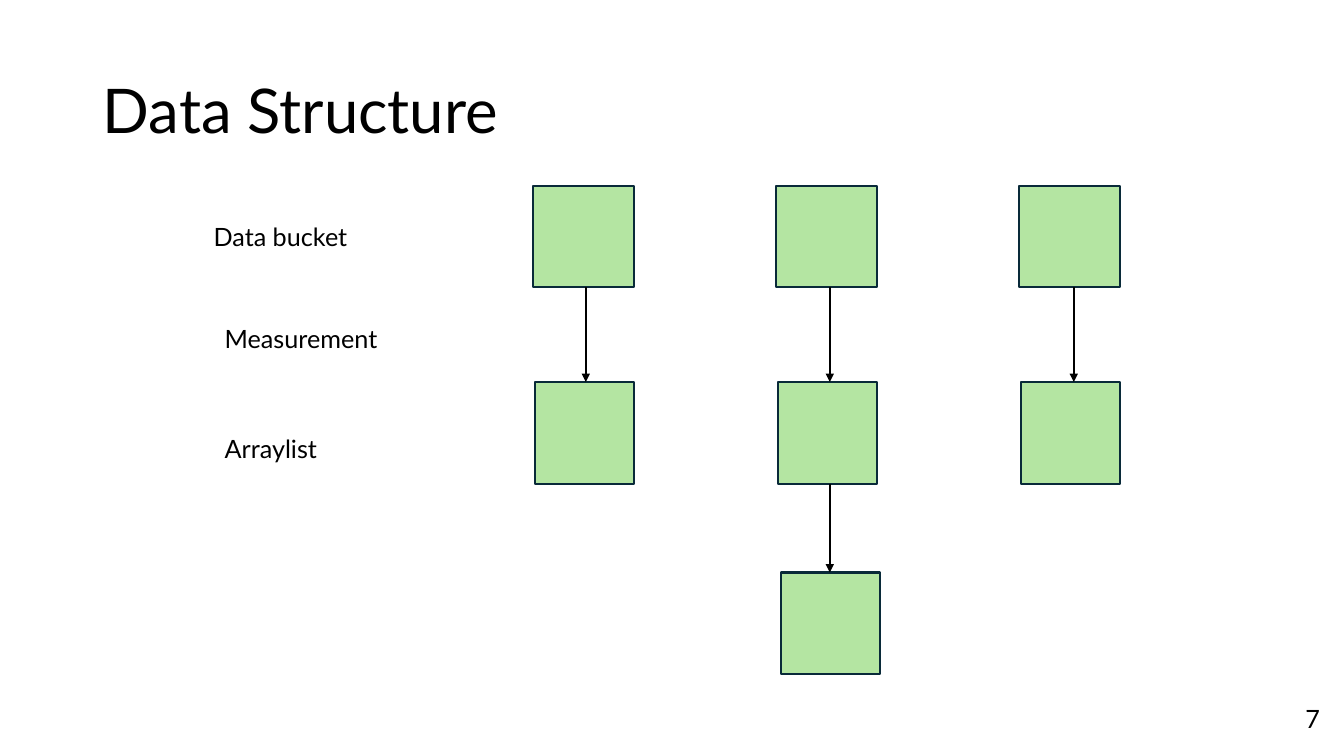
from dataclasses import dataclass

from lxml import etree
from pptx import Presentation
from pptx.dml.color import RGBColor
from pptx.enum.shapes import MSO_CONNECTOR, MSO_SHAPE
from pptx.enum.text import MSO_ANCHOR, MSO_AUTO_SIZE, PP_ALIGN
from pptx.oxml.ns import qn
from pptx.slide import Slide
from pptx.text.text import TextFrame
from pptx.util import Inches, Pt

STRAIGHT = MSO_CONNECTOR.STRAIGHT
RECTANGLE = MSO_SHAPE.RECTANGLE
MIDDLE = MSO_ANCHOR.MIDDLE
NO_FIT = MSO_AUTO_SIZE.NONE
GROW = MSO_AUTO_SIZE.SHAPE_TO_FIT_TEXT
LEFT = PP_ALIGN.LEFT

FONT_NAME = "Lato"
BLACK, GREEN, NAVY = "000000", "B4E5A2", "092A39"
LINE_WIDTH = Pt(1.5)

FIRST_COLUMN, COLUMN_PITCH = 5.29, 2.41
FIRST_ARROW, ARROW_PITCH = 5.81, 2.42


@dataclass(frozen=True)
class Label:
    text: str
    left: float
    top: float
    width: float = 3.15
    wrap: bool = True


@dataclass(frozen=True)
class BoxRow:
    """Boxes that share a top edge; shift moves them right of the column grid."""
    top: float
    width: float
    height: float
    shift: float
    columns: tuple[int, ...]


LABELS = (
    Label("Data bucket", 2.02, 2.15),
    Label("Measurement", 2.13, 3.16),
    Label("Arraylist", 2.13, 4.25),
    Label("7", 12.85, 6.93, 0.34, wrap=False),
)
BOX_ROWS = (
    BoxRow(1.85, 1, 1, 0, (0, 1, 2)),
    BoxRow(3.79, 0.98, 1.01, 0.02, (0, 1, 2)),
    BoxRow(5.68, 0.98, 1.01, 0.05, (1,)),
)


def color(value: str) -> RGBColor:
    return RGBColor.from_string(value)


def write_text(frame: TextFrame, text: str, size: float, frame_format: dict) -> None:
    for name, value in frame_format.items():
        setattr(frame, name, value)
    paragraph = frame.paragraphs[0]
    paragraph.alignment = LEFT
    run = paragraph.add_run()
    run.text = text
    for name, value in {"name": FONT_NAME, "size": Pt(size)}.items():
        setattr(run.font, name, value)
    run.font.color.rgb = color(BLACK)


def add_title(slide: Slide, text: str) -> None:
    title = slide.shapes.title
    place = {"left": 0.92, "top": 0.4, "width": 11.5, "height": 1.45}
    for name, value in place.items():
        setattr(title, name, Inches(value))
    write_text(title.text_frame, text, 44,
               {"vertical_anchor": MIDDLE, "auto_size": NO_FIT})
    title.text_frame.paragraphs[0].line_spacing = 0.9


def add_label(slide: Slide, label: Label) -> None:
    box = slide.shapes.add_textbox(Inches(label.left), Inches(label.top),
                                   Inches(label.width), Inches(0.4))
    write_text(box.text_frame, label.text, 18,
               {"word_wrap": label.wrap, "auto_size": GROW})


def add_box(slide: Slide, row: BoxRow, column: int) -> None:
    left = FIRST_COLUMN + column * COLUMN_PITCH + row.shift
    box = slide.shapes.add_shape(RECTANGLE, Inches(left), Inches(row.top),
                                 Inches(row.width), Inches(row.height))
    box.shadow.inherit = False
    box.fill.solid()
    box.fill.fore_color.rgb = color(GREEN)
    box.line.color.rgb = color(NAVY)
    box.line.width = LINE_WIDTH


def add_arrow(slide: Slide, upper: BoxRow, lower: BoxRow, column: int) -> None:
    center = Inches(FIRST_ARROW + column * ARROW_PITCH)
    arrow = slide.shapes.add_connector(STRAIGHT, center, Inches(upper.top + upper.height),
                                       center, Inches(lower.top))
    arrow.line.color.rgb = color(BLACK)
    arrow.line.width = LINE_WIDTH
    properties = arrow._element.spPr
    etree.SubElement(properties.find(qn("a:ln")), qn("a:tailEnd"), type="triangle")
    etree.SubElement(properties, qn("a:effectLst"))


def main() -> None:
    presentation = Presentation()
    presentation.slide_width = Inches(13.33)
    presentation.slide_height = Inches(7.5)
    title_only = presentation.slide_layouts[5]
    slide = presentation.slides.add_slide(title_only)

    add_title(slide, "Data Structure")
    for label in LABELS:
        add_label(slide, label)
    for row in BOX_ROWS:
        for column in row.columns:
            add_box(slide, row, column)
    for upper, lower in zip(BOX_ROWS, BOX_ROWS[1:]):
        for column in lower.columns:
            add_arrow(slide, upper, lower, column)

    presentation.save("out.pptx")


if __name__ == "__main__":
    main()
